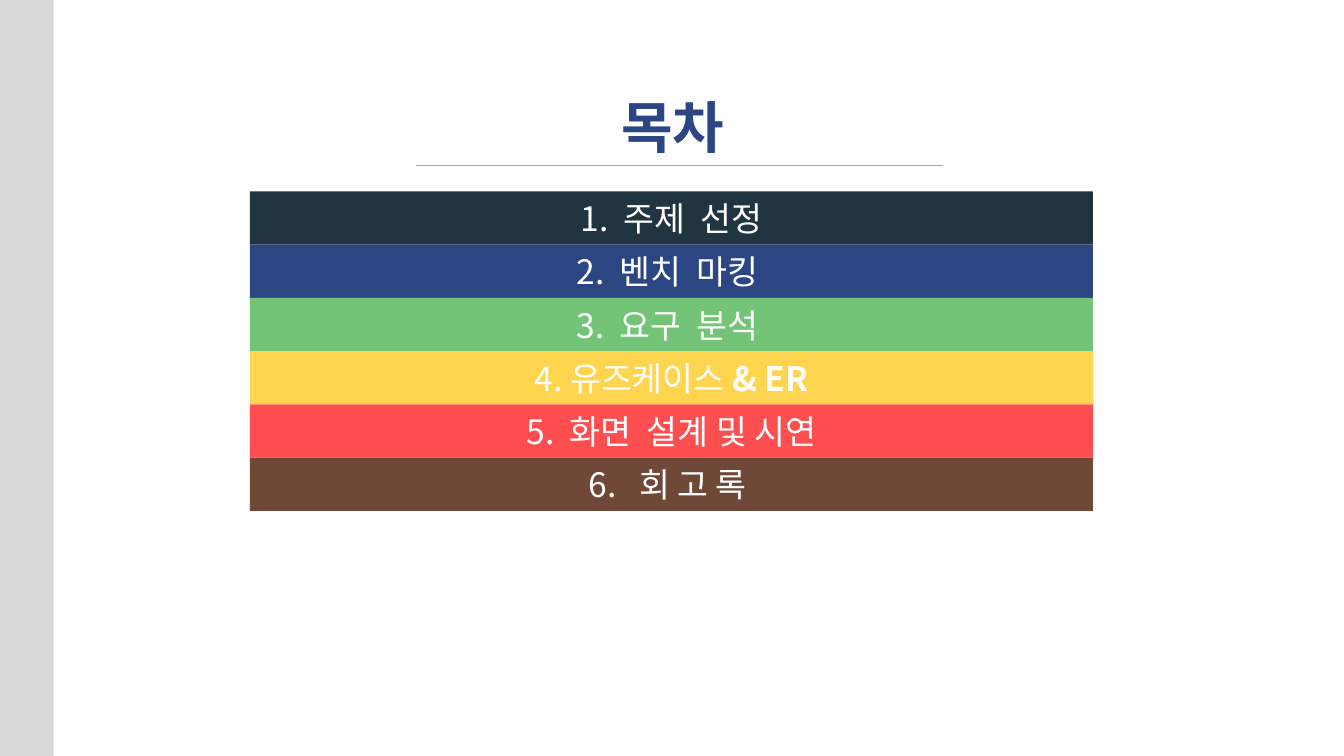
from dataclasses import dataclass

from lxml.etree import SubElement
from pptx import Presentation
from pptx.dml.color import RGBColor
from pptx.enum.shapes import MSO_CONNECTOR, MSO_SHAPE
from pptx.enum.text import MSO_ANCHOR, MSO_AUTO_SIZE, PP_ALIGN
from pptx.oxml.ns import qn
from pptx.shapes.autoshape import Shape
from pptx.slide import Slide
from pptx.util import Inches, Pt


@dataclass(frozen=True)
class Theme:
    """Font, type sizes and shared colours."""
    font: str = "Noto Sans CJK KR"
    title_size: int = 40
    entry_size: int = 24
    space_width: float = 5.4
    title: str = "2B4682"
    rule: str = "A6A6A6"
    side: str = "D9D9D9"
    entry_text: str = "FFFFFF"


@dataclass(frozen=True)
class Box:
    """A place in hundredths of the page width and height."""
    left: float
    top: float
    width: float
    height: float

    def lengths(self) -> tuple[int, int, int, int]:
        """Return left, top, width and height as slide lengths."""
        return (int(self.left * PAGE_WIDTH / 100), int(self.top * PAGE_HEIGHT / 100),
                int(self.width * PAGE_WIDTH / 100), int(self.height * PAGE_HEIGHT / 100))


@dataclass(frozen=True)
class Entry:
    """One agenda bar: words set apart by wide gaps, and a bold ending."""
    fill: str
    words: tuple[str, ...]
    gap_spaces: int = 2
    bold_end: str = ""


THEME = Theme()
PAGE_WIDTH, PAGE_HEIGHT = Inches(13.33), Inches(7.5)
SIDE_BAND = Box(0, 0, 4, 100)
TITLE_BOX = Box(30.46, 11.6, 39.16, 10.27)
TITLE_RULE = Box(30.98, 21.87, 39.16, 0)
FIRST_BAR = Box(18.6, 25.33, 62.72, 7.04)
ENTRIES = (
    Entry("213540", ("1.", "주제", "선정")),
    Entry("2B4682", ("2.", "벤치", "마킹 ")),
    Entry("74C478", ("3.", "요구", "분석 ")),
    Entry("FFD44E", ("4. 유즈케이스 ",), bold_end="& ER"),
    Entry("FE4E50", ("5.", "화면", "설계 및 시연")),
    Entry("704837", ("6.", "회 고 록 "), gap_spaces=3),
)


def format_spans(shape: Shape, size: int, color: str) -> None:
    """Centre the text and give every span its font, size and colour."""
    para = shape.text_frame.paragraphs[0]
    para.alignment = PP_ALIGN.CENTER
    for span in para.runs:
        span.font.size = Pt(size)
        span.font.name = THEME.font
        span.font.color.rgb = RGBColor.from_string(color)
        SubElement(span.font._element, qn("a:ea"), typeface=THEME.font)


def add_band(page: Slide, box: Box, fill: str) -> Shape:
    """Draw a flat rectangle without an outline."""
    band = page.shapes.add_shape(MSO_SHAPE.RECTANGLE, *box.lengths())
    band.shadow.inherit = False
    band.fill.solid()
    band.fill.fore_color.rgb = RGBColor.from_string(fill)
    band.line.fill.background()
    return band


def add_title(page: Slide) -> None:
    """Place the heading and the thin rule under it."""
    title = page.shapes.title
    title.left, title.top, title.width, title.height = TITLE_BOX.lengths()
    title.text_frame.text = "목차"
    title.text_frame.auto_size = MSO_AUTO_SIZE.SHAPE_TO_FIT_TEXT
    title.text_frame.vertical_anchor = MSO_ANCHOR.TOP
    format_spans(title, THEME.title_size, THEME.title)
    title.text_frame.paragraphs[0].runs[0].font.bold = True

    left, top, width, height = TITLE_RULE.lengths()
    rule = page.shapes.add_connector(
        MSO_CONNECTOR.STRAIGHT, left, top, left + width, top + height)
    rule.line.color.rgb = RGBColor.from_string(THEME.rule)
    rule.line.width = Pt(0.5)
    SubElement(rule._element.spPr, qn("a:effectLst"))


def add_entry(page: Slide, row: int, entry: Entry) -> None:
    """Draw one agenda bar in its row of the stack."""
    top = FIRST_BAR.top + row * FIRST_BAR.height
    bar = add_band(page, Box(FIRST_BAR.left, top, FIRST_BAR.width, FIRST_BAR.height), entry.fill)
    bar.text_frame.vertical_anchor = MSO_ANCHOR.MIDDLE
    para = bar.text_frame.paragraphs[0]
    para.text = entry.words[0]
    for word in entry.words[1:]:
        gap = para.add_run()
        gap.text = " "
        gap.font._element.set("spc", str(round((entry.gap_spaces - 1) * THEME.space_width * 100)))
        para.add_run().text = word
    if entry.bold_end:
        ending = para.add_run()
        ending.text = entry.bold_end
        ending.font.bold = True
    format_spans(bar, THEME.entry_size, THEME.entry_text)


def main() -> None:
    """Build the agenda page and save the deck."""
    deck = Presentation()
    deck.slide_width, deck.slide_height = PAGE_WIDTH, PAGE_HEIGHT
    page = deck.slides.add_slide(deck.slide_layouts[5])
    add_band(page, SIDE_BAND, THEME.side)
    add_title(page)
    for row, entry in enumerate(ENTRIES):
        add_entry(page, row, entry)
    deck.save("out.pptx")


if __name__ == "__main__":
    main()
